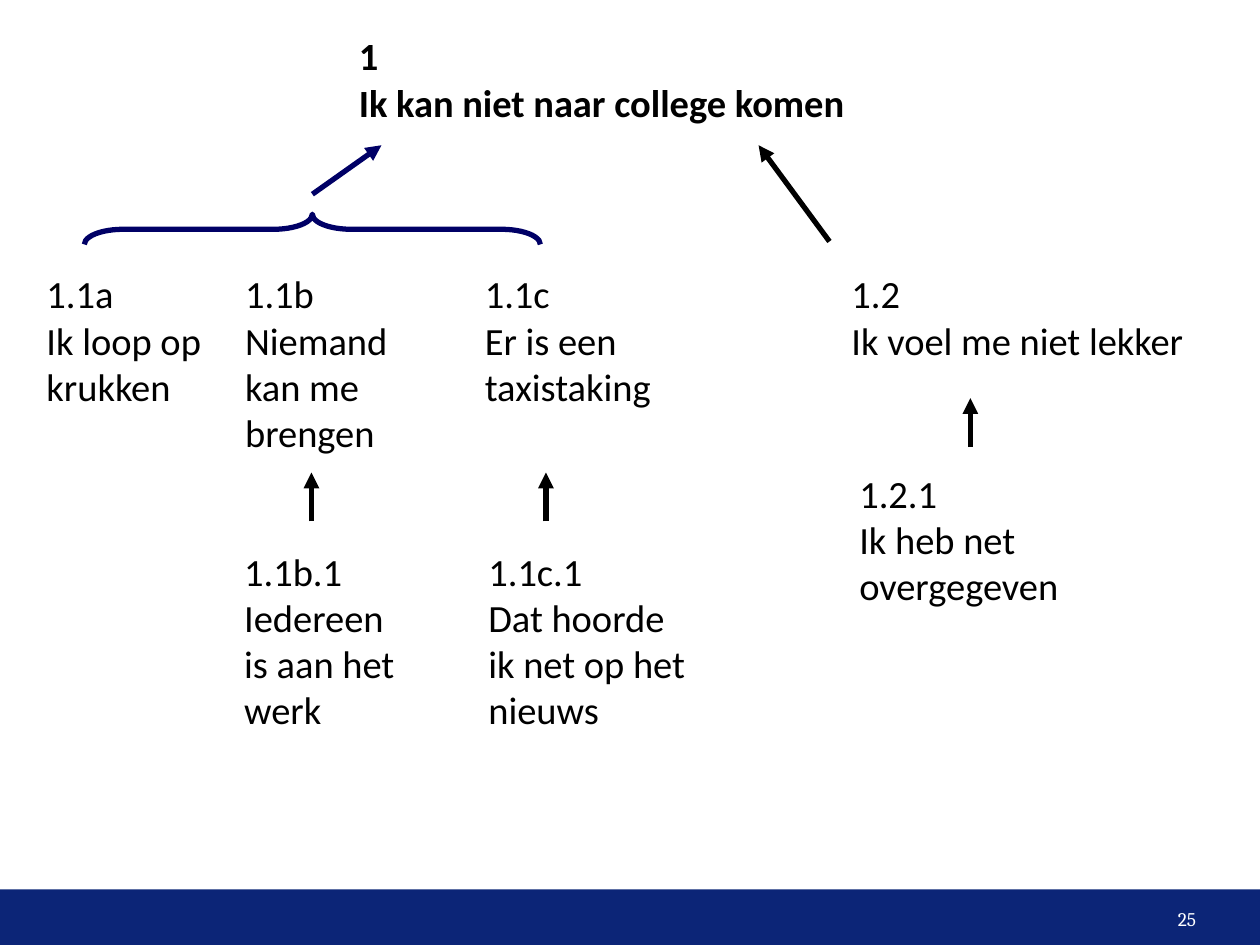
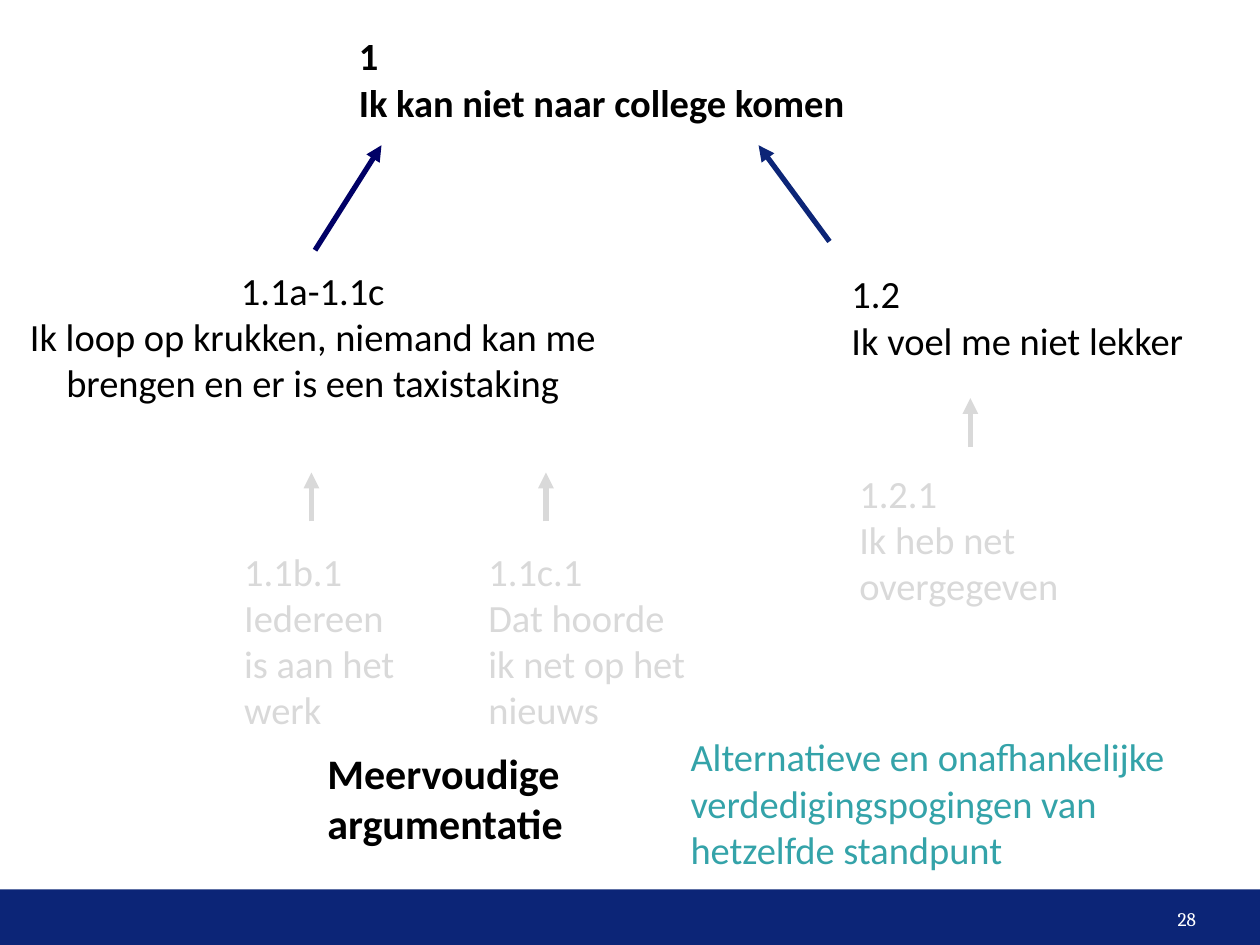
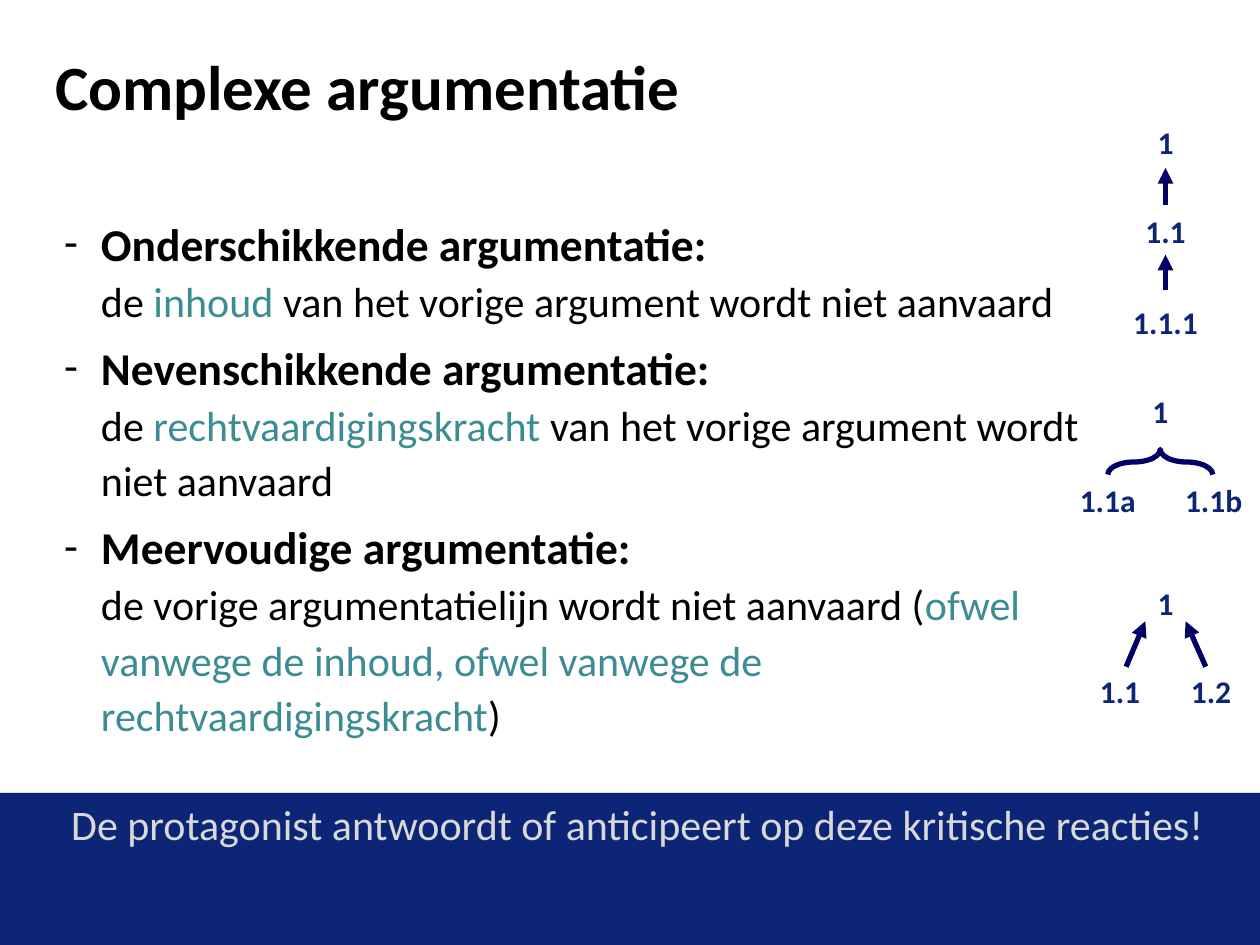
from copy import deepcopy

from lxml.etree import SubElement
from pptx import Presentation
from pptx.dml.color import RGBColor
from pptx.enum.shapes import MSO_CONNECTOR as Connector, MSO_SHAPE as Shape
from pptx.enum.text import MSO_ANCHOR as Anchor, MSO_AUTO_SIZE as AutoSize, PP_ALIGN as Align
from pptx.oxml.ns import qn
from pptx.util import Pt

COLORS = {
    "black": "000000",
    "white": "FFFFFF",
    "band": "0C2577",
    "navy": "000066",
    "faded": "D9D9D9",
    "turquoise": "34A3A9",
    "teal": "3C8C93",
}

STANDPOINT = (["1", "Ik kan niet naar college komen"], (198, 15, 307, 60))
SECOND_REASON = (["1.2", "Ik voel me niet lekker"], (479.5, 151, 225, 60))
FIRST_REASONS = [
    (["1.1a", "Ik loop op krukken"], (19.5, 151, 136, 87)),
    (["1.1b", "Niemand kan me brengen"], (133, 151, 113, 114)),
    (["1.1c", "Er is een taxistaking"], (270, 151, 130, 87)),
]
JOINT_REASON = (
    ["1.1a-1.1c", "Ik loop op krukken, niemand kan me brengen en er is een taxistaking"],
    (8.5, 149, 340.5, 87),
)
SUPPORTS = [
    (["1.1b.1", "Iedereen is aan het werk"], (132.5, 309.5, 108, 114), (178, 298)),
    (["1.1c.1", "Dat hoorde ik net op het nieuws"], (272, 309.5, 130, 114), (312, 298)),
    (["1.2.1", "Ik heb net overgegeven"], (484, 265, 210, 87), (554.5, 255.5)),
]
SUPPORT_ARROW_LENGTH = 28
FIRST_ARROW_TIP = (218, 83)
SECOND_ARROW = ((474, 138), (433.5, 83))

CONCEPT = (["Meervoudige", "argumentatie"], (180, 423.5, 210, 65))
DEFINITION = (
    ["Alternatieve en onafhankelijke verdedigingspogingen van hetzelfde standpunt"],
    (387.5, 415.5, 323, 87),
)

TITLE = "Complexe argumentatie"
HEADING = {"size": 26, "bold": True}
ACCENT = {"color": "teal"}
TYPES = [
    [
        ("Onderschikkende argumentatie:\n", HEADING),
        ("de ", {}),
        ("inhoud", ACCENT),
        (" van het vorige argument wordt niet aanvaard", {}),
    ],
    [
        ("Nevenschikkende argumentatie:\n", HEADING),
        ("de ", {}),
        ("rechtvaardigingskracht", ACCENT),
        (" van het vorige argument wordt niet aanvaard", {}),
    ],
    [
        ("Meervoudige argumentatie:\n", HEADING),
        ("de vorige argumentatielijn wordt niet aanvaard (", {}),
        ("ofwel vanwege de inhoud, ofwel vanwege de rechtvaardigingskracht", ACCENT),
        (")", {}),
    ],
]
CONCLUSION = "De protagonist antwoordt of anticipeert op deze kritische reacties!"
LABELS = [
    ("1", 666, 81), ("1.1", 666, 132), ("1.1.1", 666, 184),
    ("1", 663, 235), ("1.1a", 633, 285.5), ("1.1b", 693.5, 285.5),
    ("1", 666, 344.5), ("1.1", 640, 394.5), ("1.2", 692, 394.5),
]
LABEL_SIZE = (54, 24)
DIAGRAM_ARROWS = [
    ((666, 166), (666, 145.5)),
    ((666, 117), (666, 96)),
    ((689, 381), (677.5, 355)),
    ((643.5, 381), (654.5, 355)),
]


def rgb(name):
    return RGBColor.from_string(COLORS[name])


def write(frame, paragraphs, size=22, color="black", bold=False, font="Calibri",
          align=Align.LEFT, anchor=Anchor.TOP, insets=(7.2, 3.6), before=0,
          spacing=1.0, bullet=None):
    frame.word_wrap = True
    frame.auto_size = AutoSize.NONE
    frame.vertical_anchor = anchor
    frame.margin_left = frame.margin_right = Pt(insets[0])
    frame.margin_top = frame.margin_bottom = Pt(insets[1])
    for index, content in enumerate(paragraphs):
        para = frame.add_paragraph() if index else frame.paragraphs[0]
        para.alignment = align
        para.space_before = Pt(before)
        para.line_spacing = spacing
        if bullet:
            add_bullet(para, bullet)
        spans = [(content, {})] if isinstance(content, str) else content
        for text, changes in spans:
            span = para.add_run()
            span.text = text.rstrip("\n")
            span.font.name = font
            span.font.size = Pt(changes.get("size", size))
            span.font.bold = changes.get("bold", bold)
            span.font.color.rgb = rgb(changes.get("color", color))
            if text.endswith("\n"):
                para.add_line_break()
                para._p[-1].append(deepcopy(span._r.rPr))


def add_bullet(para, mark, indent=21):
    properties = para._p.get_or_add_pPr()
    properties.set("marL", str(Pt(indent)))
    properties.set("indent", str(-Pt(indent)))
    SubElement(properties, qn("a:buFont"), typeface="Calibri")
    SubElement(properties, qn("a:buChar"), char=mark)


def add_text(page, paragraphs, place, **style):
    box = page.shapes.add_textbox(*map(Pt, place))
    write(box.text_frame, paragraphs, **style)


def add_band(page, place):
    band = page.shapes.add_shape(Shape.RECTANGLE, *map(Pt, place))
    band.shadow.inherit = False
    band.fill.solid()
    band.fill.fore_color.rgb = rgb("band")
    band.line.fill.background()
    return band


def add_arrow(page, start, end, color="black"):
    arrow = page.shapes.add_connector(Connector.STRAIGHT, *map(Pt, start + end))
    arrow.line.width = Pt(3)
    arrow.line.color.rgb = rgb(color)
    SubElement(arrow.line._get_or_add_ln(), qn("a:tailEnd"), type="triangle")
    SubElement(arrow._element.spPr, qn("a:effectLst"))


def add_brace(page, center, span, depth):
    x, y = center
    place = (x - depth / 2, y - span / 2, depth, span)
    brace = page.shapes.add_shape(Shape.RIGHT_BRACE, *map(Pt, place))
    brace.rotation = 270
    brace.adjustments[0] = 1.28
    brace.shadow.inherit = False
    brace.fill.background()
    brace.line.width = Pt(3)
    brace.line.color.rgb = rgb("navy")


def add_page(deck, layout, number=None):
    page = deck.slides.add_slide(deck.slide_layouts[layout])
    add_band(page, (0, 508.3, 720, 31.7))
    if number:
        add_text(page, [number], (526.5, 508.5, 162, 33), size=11, color="white",
                 font="Cambria", align=Align.RIGHT, anchor=Anchor.MIDDLE, insets=(5, 3))
    return page


def add_tree(page, support_color, second_color):
    add_text(page, *STANDPOINT, bold=True)
    add_text(page, *SECOND_REASON)
    add_arrow(page, *SECOND_ARROW, color=second_color)
    for paragraphs, place, (x, y) in SUPPORTS:
        add_text(page, paragraphs, place, color=support_color)
        add_arrow(page, (x, y), (x, y - SUPPORT_ARROW_LENGTH), color=support_color)


def build_full_tree(deck):
    page = add_page(deck, 6, "25")
    add_tree(page, "black", "black")
    for reason in FIRST_REASONS:
        add_text(page, *reason)
    add_arrow(page, (178.5, 111), FIRST_ARROW_TIP, color="navy")
    add_brace(page, (178.5, 131), span=260.6, depth=17.3)


def build_multiple_tree(deck):
    page = add_page(deck, 6, "28")
    add_tree(page, "faded", "band")
    add_text(page, *JOINT_REASON, align=Align.CENTER)
    add_arrow(page, (180, 143), FIRST_ARROW_TIP, color="navy")
    add_text(page, *CONCEPT, size=24, bold=True)
    add_text(page, *DEFINITION, color="turquoise")


def place_text(holder, place, paragraphs, **style):
    holder.left, holder.top, holder.width, holder.height = map(Pt, place)
    write(holder.text_frame, paragraphs, **style)


def build_overview(deck):
    page = add_page(deck, 1)
    place_text(page.shapes.title, (31.5, 31.5, 656, 34), [TITLE], size=36, bold=True,
               anchor=Anchor.MIDDLE, insets=(0, 0))
    place_text(page.placeholders[1], (29.5, 116.5, 605.5, 335), TYPES, size=24,
               before=5, spacing=1.1, bullet="-")
    band = add_band(page, (0, 453, 728.6, 101.5))
    write(band.text_frame, [CONCLUSION], size=24, color="faded", align=Align.CENTER, before=22)
    width, height = LABEL_SIZE
    for text, x, y in LABELS:
        add_text(page, [text], (x - width / 2, y - height / 2, width, height), size=18,
                 color="band", bold=True, align=Align.CENTER, anchor=Anchor.MIDDLE, insets=(0, 0))
    for start, end in DIAGRAM_ARROWS:
        add_arrow(page, start, end, color="navy")
    add_brace(page, (663, 264), span=60, depth=14.4)


def main():
    deck = Presentation()
    deck.slide_width, deck.slide_height = Pt(720), Pt(540)
    build_full_tree(deck)
    build_multiple_tree(deck)
    build_overview(deck)
    deck.save("out.pptx")


if __name__ == "__main__":
    main()
